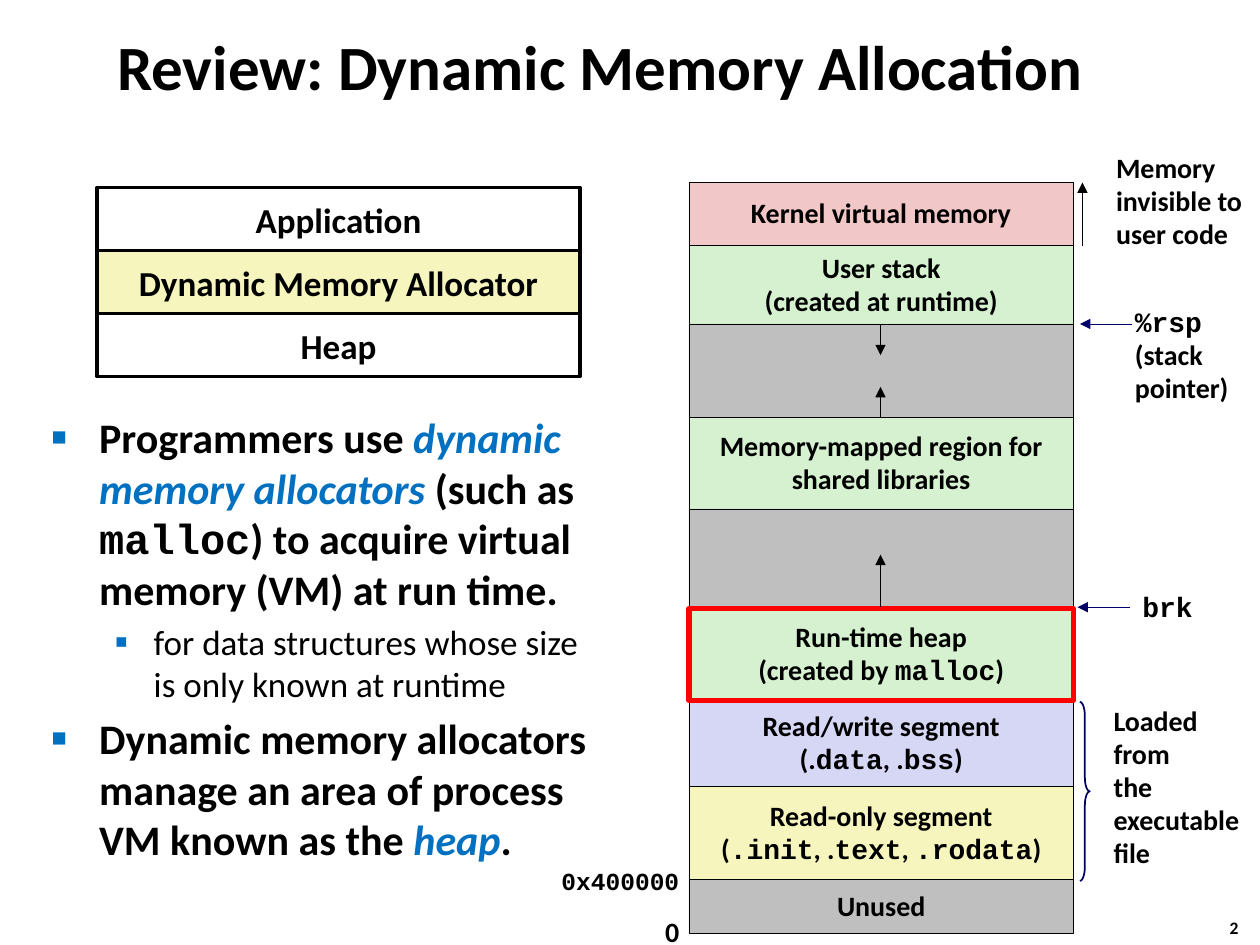
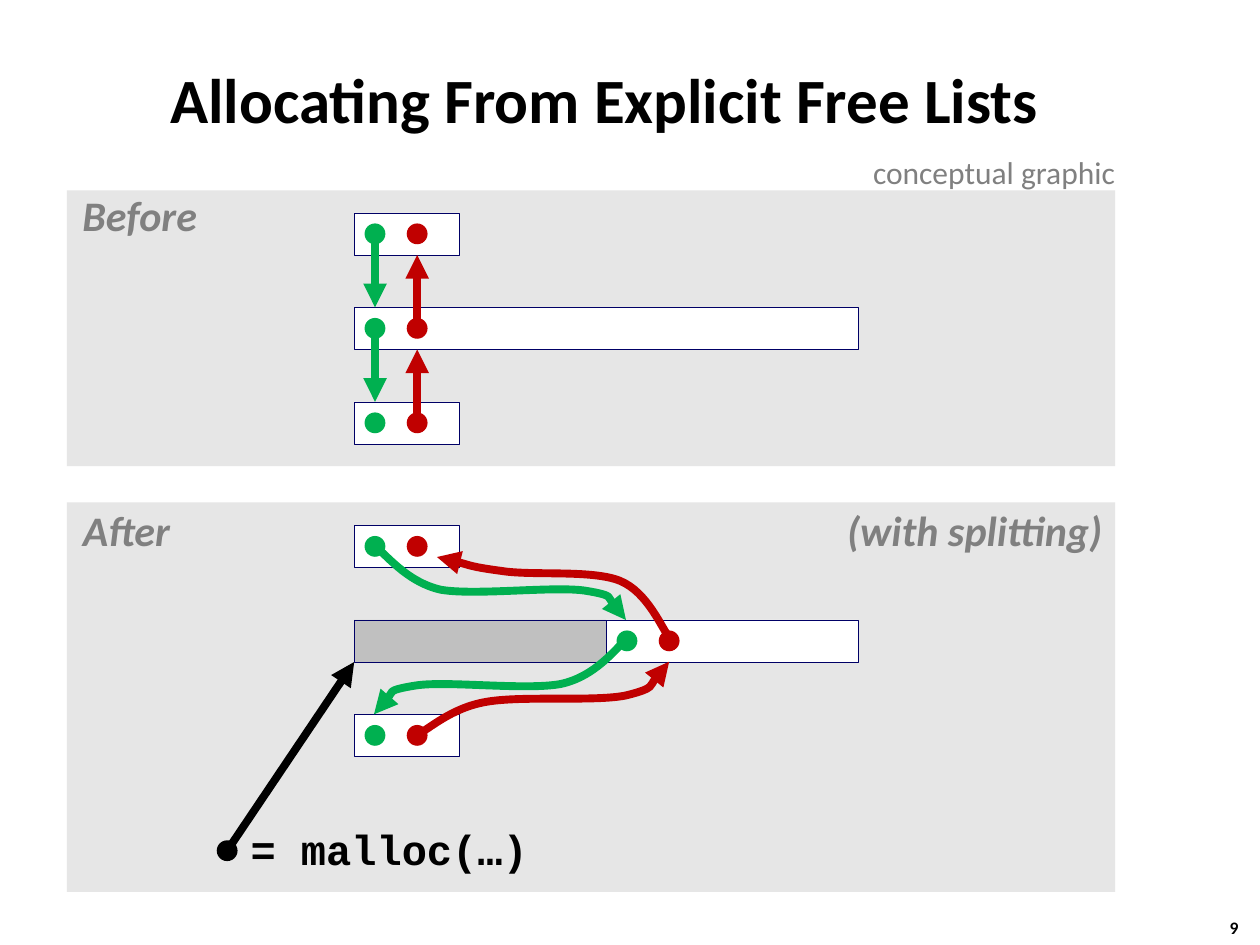
"""Build two slides on dynamic memory allocation and explicit free lists."""
from itertools import accumulate

from lxml import etree
from pptx import Presentation
from pptx.dml.color import RGBColor
from pptx.enum.shapes import MSO_CONNECTOR, MSO_SHAPE
from pptx.enum.text import MSO_ANCHOR, MSO_AUTO_SIZE, PP_ALIGN
from pptx.oxml.ns import qn
from pptx.util import Cm, Pt

RECTANGLE, OVAL, BRACE = MSO_SHAPE.RECTANGLE, MSO_SHAPE.OVAL, MSO_SHAPE.RIGHT_BRACE
STRAIGHT = MSO_CONNECTOR.STRAIGHT
LEFT, CENTER = PP_ALIGN.LEFT, PP_ALIGN.CENTER
TOP, MIDDLE = MSO_ANCHOR.TOP, MSO_ANCHOR.MIDDLE
GROW = MSO_AUTO_SIZE.SHAPE_TO_FIT_TEXT

BODY_FONT, CODE_FONT = "Calibri", "Courier New"
BLACK, WHITE, NAVY, RED = "000000", "FFFFFF", "000066", "FF0000"
BLUE, GREEN, CRIMSON = "0070C0", "00B050", "C00000"
PINK, MINT, LAVENDER, YELLOW = "F1C7C7", "D5F1CF", "D6D6F5", "F6F5BD"
GAP_GRAY, USED_GRAY, PANEL_GRAY, LABEL_GRAY = "BFBFBF", "C0C0C0", "E6E6E6", "808080"

MAP_LEFT, MAP_TOP, MAP_WIDTH = 13.89, 3.68, 7.75
BLOCK_LEFT, BLOCK_HEIGHT, ROW_STEP = 7.14, 0.85, 1.905
SHORT_BLOCK, LONG_BLOCK = 2.12, 10.16
NEXT_OFFSET, PREVIOUS_OFFSET, DOT_SIZE = 0.42, 1.27, 0.42


def color(hex_string):
    """Return the colour for a hex string."""
    return RGBColor.from_string(hex_string)


def box_lengths(box):
    """Turn left, top, width and height in centimetres into lengths."""
    return [Cm(value) for value in box]


def add_runs(paragraph, line, size, ink=BLACK, bold=True, italic=False):
    """Write runs parted by |, where ` marks code and * marks emphasis."""
    for part in line.split("|"):
        run = paragraph.add_run()
        run.text = part.lstrip("`*")
        emphasis = part.startswith("*")
        font = run.font
        font.name = CODE_FONT if part.startswith("`") else BODY_FONT
        font.size = Pt(size)
        font.bold = bold
        font.italic = italic or emphasis
        font.color.rgb = color(BLUE if emphasis else ink)


def write(text_frame, lines, size, align=LEFT, spacing=1.0, **style):
    """Fill a text frame with one paragraph for each line."""
    for index, line in enumerate(lines):
        paragraph = text_frame.add_paragraph() if index else text_frame.paragraphs[0]
        paragraph.alignment = align
        paragraph.line_spacing = spacing
        add_runs(paragraph, line, size, **style)


def add_label(slide, box, lines, size=16, inset=0.25, **style):
    """Add a text box that grows with its unwrapped text."""
    text_frame = slide.shapes.add_textbox(*box_lengths(box)).text_frame
    text_frame.word_wrap = False
    text_frame.auto_size = GROW
    text_frame.margin_left = text_frame.margin_right = Cm(inset)
    write(text_frame, lines, size, **style)


def style_outline(line, ink, weight):
    """Give a line its colour and weight."""
    line.color.rgb = color(ink)
    line.width = Pt(weight)


def add_figure(slide, kind, box, fill=None, ink=None, weight=0.25):
    """Add a preset shape with a plain fill and outline."""
    shape = slide.shapes.add_shape(kind, *box_lengths(box))
    shape.shadow.inherit = False
    if fill:
        shape.fill.solid()
        shape.fill.fore_color.rgb = color(fill)
    else:
        shape.fill.background()
    if ink:
        style_outline(shape.line, ink, weight)
    else:
        shape.line.fill.background()
    return shape


def add_text_block(slide, box, lines, size, fill, ink=BLACK, weight=0.25, spacing=1.0):
    """Add a rectangle with centred text."""
    shape = add_figure(slide, RECTANGLE, box, fill, ink, weight)
    text_frame = shape.text_frame
    text_frame.word_wrap = False
    text_frame.vertical_anchor = MIDDLE
    write(text_frame, lines, size, CENTER, spacing)


def add_arrowhead(shape):
    """Put a triangle at the end of a line."""
    outline = shape.element.spPr.find(qn("a:ln"))
    etree.SubElement(outline, qn("a:tailEnd"), type="triangle")


def add_arrow(slide, start, end, ink=BLACK, weight=0.25):
    """Add a straight arrow between two points."""
    arrow = slide.shapes.add_connector(STRAIGHT, *box_lengths(start + end))
    style_outline(arrow.line, ink, weight)
    add_arrowhead(arrow)
    etree.SubElement(arrow.element.spPr, qn("a:effectLst"))


def add_curved_arrow(slide, points, ink):
    """Add an arrow along cubic curves, three points to each curve."""
    start, *others = [(Cm(x), Cm(y)) for x, y in points]
    builder = slide.shapes.build_freeform(*start)
    builder.add_line_segments(others, close=False)
    shape = builder.convert_to_shape()
    segments = list(shape.element.iter(qn("a:lnTo")))
    for first in range(0, len(segments), 3):
        curve = etree.SubElement(segments[first].getparent(), qn("a:cubicBezTo"))
        for segment in segments[first:first + 3]:
            curve.append(segment[0])
            segment.getparent().remove(segment)
    shape.shadow.inherit = False
    shape.fill.background()
    style_outline(shape.line, ink, 4.5)
    add_arrowhead(shape)


def add_bullet(paragraph, character, percent, margin, indent):
    """Give a paragraph a coloured bullet and a hanging indent."""
    properties = paragraph._p.get_or_add_pPr()
    properties.set("marL", str(Cm(margin)))
    properties.set("indent", str(Cm(-indent)))
    bullet_color = etree.SubElement(properties, qn("a:buClr"))
    etree.SubElement(bullet_color, qn("a:srgbClr"), val=BLUE)
    etree.SubElement(properties, qn("a:buSzPct"), val=str(percent * 1000))
    etree.SubElement(properties, qn("a:buFont"), typeface="Arial")
    etree.SubElement(properties, qn("a:buChar"), char=character)


def add_titled_slide(presentation, title, box, number, spacing=1.0):
    """Add a slide with its title and page number."""
    slide = presentation.slides.add_slide(presentation.slide_layouts[5])
    shape = slide.shapes.title
    shape.left, shape.top, shape.width, shape.height = box_lengths(box)
    shape.text_frame.vertical_anchor = MIDDLE
    write(shape.text_frame, [title], 36, CENTER, spacing)
    add_label(slide, (24.54, 18.36, 0.94, 0.69), [number], 10)
    return slide


def add_bullet_list(slide, box, items):
    """Add a text box with bullets on two levels."""
    text_frame = slide.shapes.add_textbox(*box_lengths(box)).text_frame
    text_frame.word_wrap = True
    text_frame.vertical_anchor = TOP
    for index, (level, line) in enumerate(items):
        paragraph = text_frame.add_paragraph() if index else text_frame.paragraphs[0]
        size = 20 if level else 24
        if index:
            paragraph.space_before = Pt(size * 0.2)
        if level:
            add_bullet(paragraph, "▪", 110, 2.06, 0.79)
        else:
            add_bullet(paragraph, "■", 60, 0.96, 0.96)
        paragraph.level = level
        add_runs(paragraph, line, size, bold=not level)


def add_memory_map(slide):
    """Stack the segments of the address space, thickest outline in front."""
    segments = [
        (1.27, PINK, BLACK, 0.25, ["Kernel virtual memory"]),
        (1.58, MINT, BLACK, 0.25, ["User stack", "(created at runtime)"]),
        (1.88, GAP_GRAY, BLACK, 0.25, []),
        (1.85, MINT, BLACK, 0.25, ["Memory-mapped region for", "shared libraries"]),
        (2.01, GAP_GRAY, BLACK, 0.25, []),
        (1.85, MINT, RED, 3, ["Run-time heap", "(created by |`malloc|)"]),
        (1.73, LAVENDER, BLACK, 0.25, ["Read/write segment", "(.|`data|, .|`bss|)"]),
        (1.88, YELLOW, BLACK, 0.25,
         ["Read-only segment", "(|`.init|, .|`text|, |`.rodata|)"]),
        (1.09, GAP_GRAY, BLACK, 0.25, ["Unused"]),
    ]
    tops = accumulate((segment[0] for segment in segments), initial=MAP_TOP)
    placed = sorted(zip(tops, segments), key=lambda pair: pair[1][3])
    for top, (height, fill, ink, weight, lines) in placed:
        box = (MAP_LEFT, top, MAP_WIDTH, height)
        add_text_block(slide, box, lines, 16, fill, ink, weight, 0.98)


def build_review_slide(presentation):
    """Show the allocator layers, the key points and the memory map."""
    slide = add_titled_slide(presentation, "Review: Dynamic Memory Allocation\t",
                             (1.98, 0.23, 21.08, 2.18), "2")
    layers = [("Application", WHITE), ("Dynamic Memory Allocator", YELLOW), ("Heap", WHITE)]
    for index, (name, fill) in enumerate(layers):
        box = (1.96, 3.78 + 1.27 * index, 9.73, 1.27)
        add_text_block(slide, box, [name], 20, fill, weight=2)
    add_bullet_list(slide, (0.79, 8.18, 11.38, 10.59), [
        (0, "Programmers use |*dynamic memory allocators |(such as |`malloc|"
            ") to acquire virtual memory (VM) at run time."),
        (1, "for data structures whose size is only known at runtime"),
        (0, "Dynamic memory allocators manage an area of process VM known as the |*heap|."),
    ])
    add_memory_map(slide)

    for x, start, end in [(17.75, 12.24, 11.18), (17.75, 8.43, 7.8),
                          (17.75, 6.53, 7.16), (21.82, 4.95, 3.68)]:
        add_arrow(slide, (x, start), (x, end))
    add_arrow(slide, (22.83, 6.53), (21.77, 6.53), NAVY)
    add_arrow(slide, (22.78, 12.24), (21.72, 12.24), NAVY)
    brace = add_figure(slide, BRACE, (21.77, 14.15, 0.2, 3.61), ink=NAVY, weight=1)
    brace.adjustments[0] = 1.417

    for box, lines, size in [
        ((22.25, 2.95, 3.2, 2.26), ["Memory", "invisible to", "user code"], 16),
        ((22.63, 6.05, 2.41, 2.24), ["`%rsp", "(stack", "pointer)"], 16),
        ((22.78, 11.79, 1.52, 0.91), ["`brk"], 16),
        ((22.2, 14.1, 3.2, 3.61), ["Loaded", "from", "the", "executable", "file"], 16),
        ((11.07, 17.37, 2.9, 0.84), ["`0x400000"], 14),
        ((13.16, 18.34, 0.79, 0.94), ["0"], 16),
    ]:
        add_label(slide, box, lines, size, spacing=0.98)


def add_dot(slide, x, y, fill):
    """Add a pointer dot around a centre."""
    box = (x - DOT_SIZE / 2, y - DOT_SIZE / 2, DOT_SIZE, DOT_SIZE)
    add_figure(slide, OVAL, box, fill)


def add_free_block(slide, left, top, width):
    """Add a free block with its next and previous pointers."""
    add_figure(slide, RECTANGLE, (left, top, width, BLOCK_HEIGHT), WHITE, NAVY)
    middle = top + BLOCK_HEIGHT / 2
    add_dot(slide, left + NEXT_OFFSET, middle, GREEN)
    add_dot(slide, left + PREVIOUS_OFFSET, middle, CRIMSON)


def add_before_list(slide):
    """Draw the free list ahead of the allocation."""
    rows = [4.29 + ROW_STEP * index for index in range(3)]
    for top, width in zip(rows, (SHORT_BLOCK, LONG_BLOCK, SHORT_BLOCK)):
        add_free_block(slide, BLOCK_LEFT, top, width)
    next_x, previous_x = BLOCK_LEFT + NEXT_OFFSET, BLOCK_LEFT + PREVIOUS_OFFSET
    half = BLOCK_HEIGHT / 2
    for upper, lower in zip(rows, rows[1:]):
        add_arrow(slide, (next_x, upper + half), (next_x, lower), GREEN, 4.5)
        add_arrow(slide, (previous_x, lower + half),
                  (previous_x, upper + BLOCK_HEIGHT), CRIMSON, 4.5)


def add_after_list(slide):
    """Draw the free list once the middle block is split."""
    first, second, third = [10.59 + ROW_STEP * index for index in range(3)]
    half_width = LONG_BLOCK / 2
    add_free_block(slide, BLOCK_LEFT, first, SHORT_BLOCK)
    add_free_block(slide, BLOCK_LEFT + half_width, second, half_width)
    add_free_block(slide, BLOCK_LEFT, third, SHORT_BLOCK)
    used_box = (BLOCK_LEFT, second, half_width, BLOCK_HEIGHT)
    add_figure(slide, RECTANGLE, used_box, USED_GRAY, NAVY)
    add_dot(slide, 4.58, 17.15, BLACK)
    add_arrow(slide, (4.58, 17.15), (BLOCK_LEFT, second + BLOCK_HEIGHT), BLACK, 4.5)
    for ink, points in [
        (GREEN, [(7.54, 11), (7.77, 11.15), (8.18, 11.73), (8.89, 11.89), (9.6, 12.01),
                 (11.18, 11.81), (11.81, 11.91), (12.42, 12.01), (12.47, 12.37), (12.62, 12.5)]),
        (GREEN, [(12.62, 12.9), (12.42, 13.06), (12.01, 13.64), (11.3, 13.79), (10.59, 13.92),
                 (8.99, 13.72), (8.38, 13.82), (7.75, 13.92), (7.72, 14.27), (7.54, 14.4)]),
        (CRIMSON, [(13.51, 12.88), (13.34, 12.67), (13.06, 11.94), (12.5, 11.71), (11.94, 11.48),
                   (10.72, 11.61), (10.11, 11.51), (9.5, 11.43), (9.09, 11.28), (8.81, 11.23)]),
        (CRIMSON, [(8.41, 14.81), (8.64, 14.71), (9.09, 14.27), (9.8, 14.15), (10.52, 14.02),
                   (11.99, 14.15), (12.62, 14.02), (13.23, 13.87), (13.31, 13.49), (13.49, 13.34)]),
    ]:
        add_curved_arrow(slide, points, ink)


def build_free_list_slide(presentation):
    """Compare the free list before and after an allocation."""
    slide = add_titled_slide(presentation, "Allocating From Explicit Free Lists",
                             (1.07, 1.3, 22.23, 1.6), "9", 0.87)
    for top, height in [(3.84, 5.56), (10.13, 7.85)]:
        add_figure(slide, RECTANGLE, (1.35, top, 21.13, height), PANEL_GRAY)
    add_before_list(slide)
    add_after_list(slide)
    for text, box in [("Before", (1.52, 3.81, 2.59, 1.19)), ("After", (1.52, 10.16, 2.06, 1.19)),
                      ("(with splitting)", (16.92, 10.16, 5.46, 1.19))]:
        add_label(slide, box, [text], 24, 0.13, align=CENTER, spacing=0.9,
                  ink=LABEL_GRAY, italic=True)
    add_label(slide, (4.9, 16.59, 5.89, 1.19), ["`= malloc(…)"], 24, 0.13,
              align=CENTER, spacing=0.9)
    add_label(slide, (17.35, 2.97, 5.51, 1.02), ["conceptual graphic"], 18,
              ink=LABEL_GRAY, bold=False)


def main():
    """Build and save the presentation."""
    presentation = Presentation()
    presentation.slide_width, presentation.slide_height = Cm(25.4), Cm(19.05)
    build_review_slide(presentation)
    build_free_list_slide(presentation)
    presentation.save("out.pptx")


if __name__ == "__main__":
    main()
